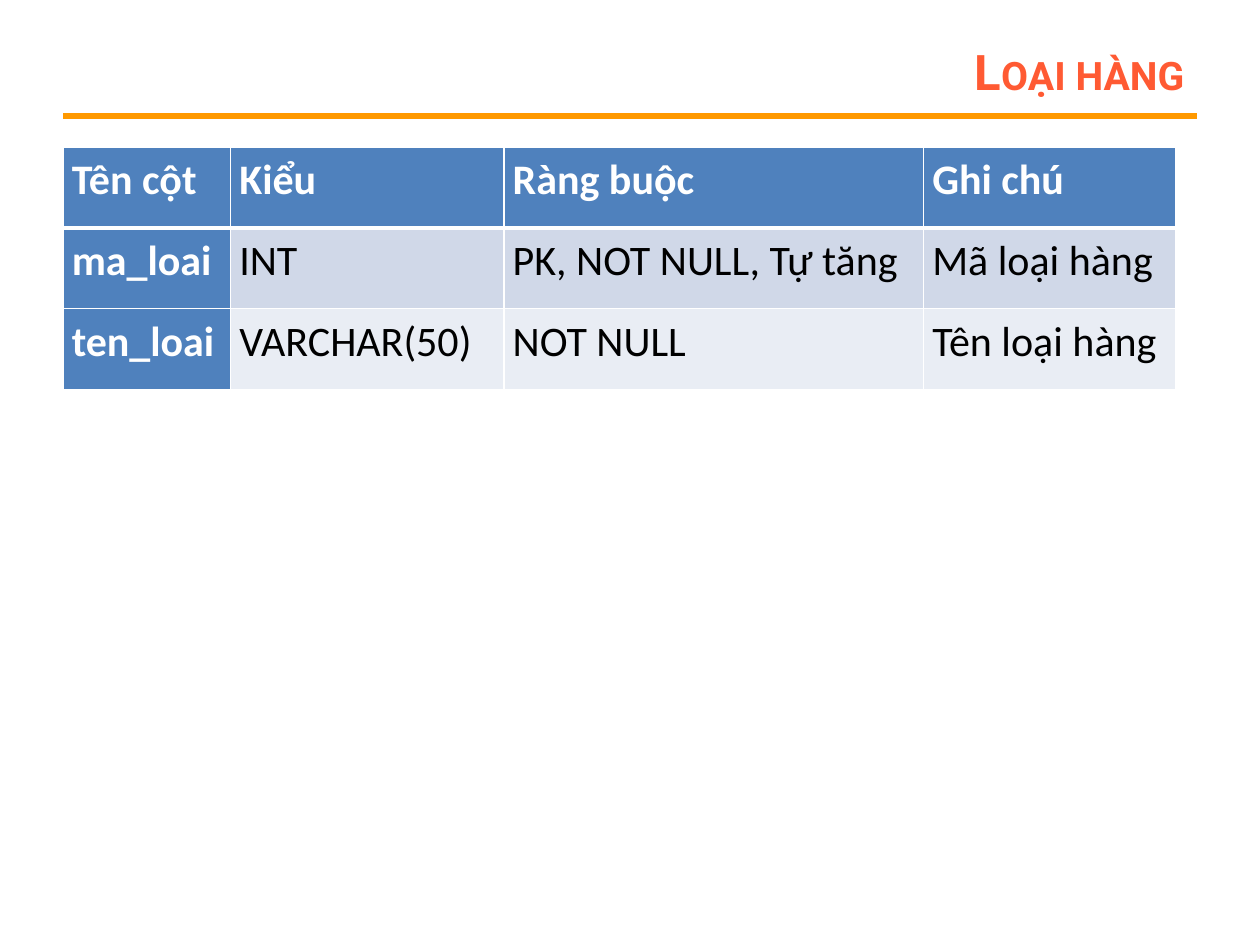
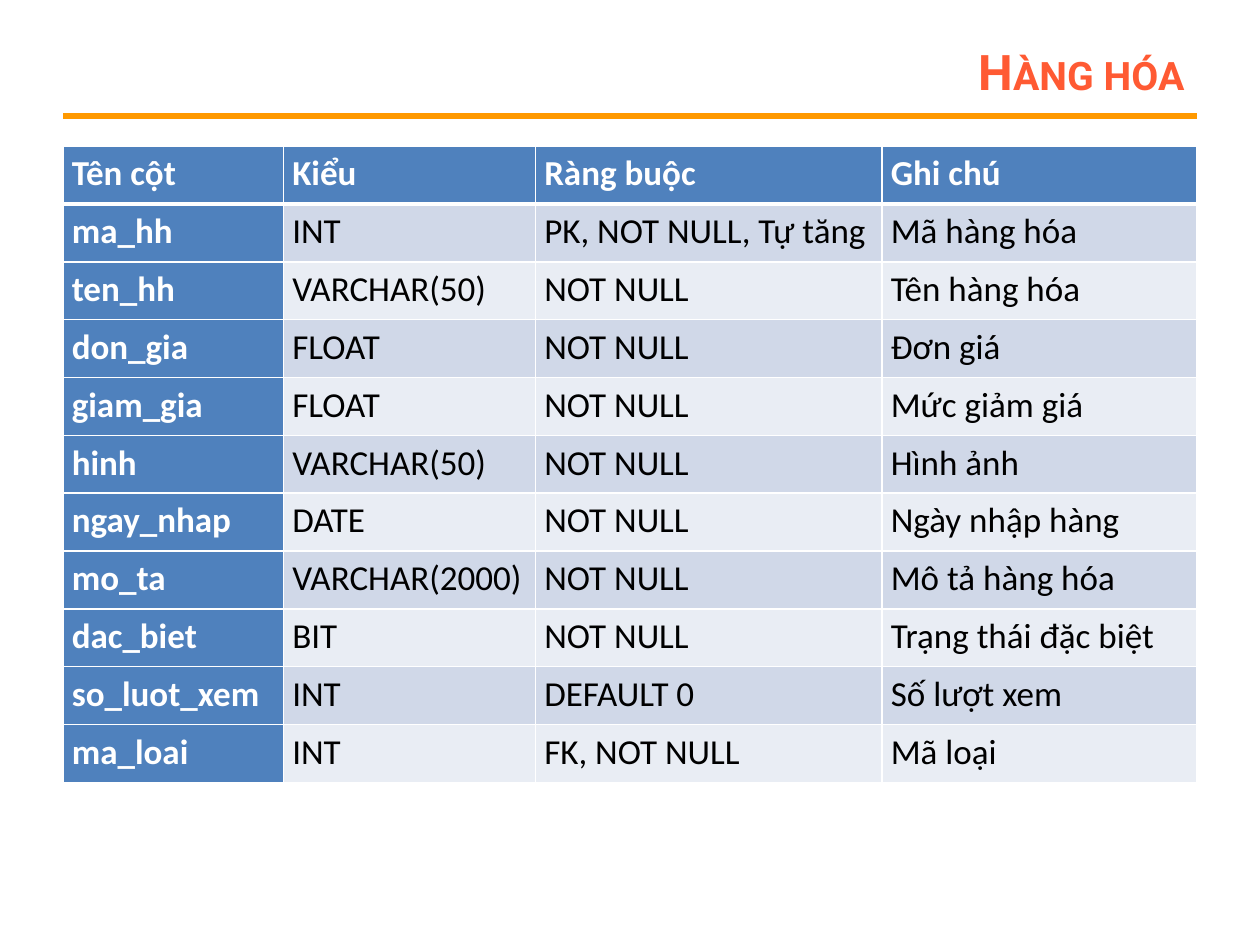
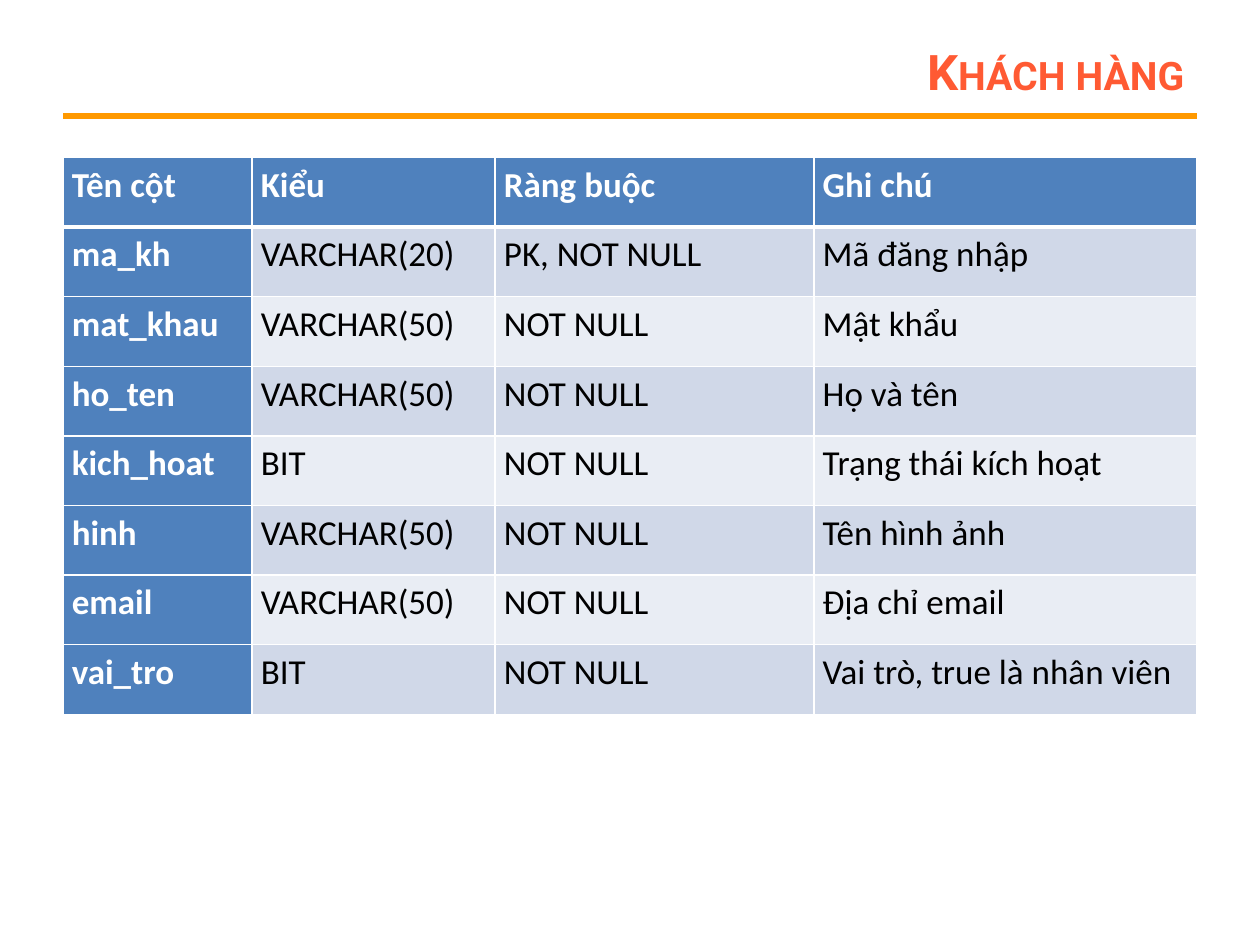
from lxml import etree
from pptx import Presentation
from pptx import util as u
from pptx.dml.color import RGBColor
from pptx.enum import shapes, text
from pptx.oxml.ns import qn

# Shared look
WHITE, BLACK, BLUE = "FFFFFF", "000000", "4F81BD"
BANDS = ["D0D8E8", "E9EDF4"]
RULE, TITLE = "FF9900", "FF5A33"
HEAD = ["Tên cột", "Kiểu", "Ràng buộc", "Ghi chú"]


def paint(obj, color):
    """Give a fill, line fill or font a solid colour."""
    if hasattr(obj, "solid"):
        obj.solid()
        obj = obj.fore_color
    else:
        obj = obj.color
    obj.rgb = RGBColor.from_string(color)


def edge(cell, side, width):
    """Add one white border; sides must come in the order L, R, T, B."""
    line = etree.SubElement(cell._tc.get_or_add_tcPr(), qn("a:ln" + side),
                            w=str(u.Pt(width)))
    fill = etree.SubElement(line, qn("a:solidFill"))
    etree.SubElement(fill, qn("a:srgbClr"), val=WHITE)


# Title, table top, table height, text size, column widths, body rows
pages = [
    ("Loại hàng", 1.17, 1.92, 24, [1.33, 2.17, 3.33, 2], [
        ["ma_loai", "INT", "PK, NOT NULL, Tự tăng", "Mã loại hàng"],
        ["ten_loai", "VARCHAR(50)", "NOT NULL", "Tên loại hàng"],
    ]),
    ("Hàng hóa", 1.16, 5.05, 20, [1.75, 2, 2.75, 2.5], [
        ["ma_hh", "INT", "PK, NOT NULL, Tự tăng", "Mã hàng hóa"],
        ["ten_hh", "VARCHAR(50)", "NOT NULL", "Tên hàng hóa"],
        ["don_gia", "FLOAT", "NOT NULL", "Đơn giá"],
        ["giam_gia", "FLOAT", "NOT NULL", "Mức giảm giá"],
        ["hinh", "VARCHAR(50)", "NOT NULL", "Hình ảnh"],
        ["ngay_nhap", "DATE", "NOT NULL", "Ngày nhập hàng"],
        ["mo_ta", "VARCHAR(2000)", "NOT NULL", "Mô tả hàng hóa"],
        ["dac_biet", "BIT", "NOT NULL", "Trạng thái đặc biệt"],
        ["so_luot_xem", "INT", "DEFAULT 0", "Số lượt xem"],
        ["ma_loai", "INT", "FK, NOT NULL", "Mã loại"],
    ]),
    ("Khách hàng", 1.25, 4.42, 20, [1.5, 1.93, 2.53, 3.04], [
        ["ma_kh", "VARCHAR(20)", "PK, NOT NULL", "Mã đăng nhập"],
        ["mat_khau", "VARCHAR(50)", "NOT NULL", "Mật khẩu"],
        ["ho_ten", "VARCHAR(50)", "NOT NULL", "Họ và tên"],
        ["kich_hoat", "BIT", "NOT NULL", "Trạng thái kích hoạt"],
        ["hinh", "VARCHAR(50)", "NOT NULL", "Tên hình ảnh"],
        ["email", "VARCHAR(50)", "NOT NULL", "Địa chỉ email"],
        ["vai_tro", "BIT", "NOT NULL", "Vai trò, true là nhân viên"],
    ]),
]

deck = Presentation()
deck.slide_width, deck.slide_height = u.Inches(10), u.Inches(7.5)

for title, top, height, size, widths, body in pages:
    slide = deck.slides.add_slide(deck.slide_layouts[6])

    # Rule under the title
    rule = slide.shapes.add_connector(
        shapes.MSO_CONNECTOR.STRAIGHT,
        u.Inches(0.5), u.Inches(0.92), u.Inches(9.5), u.Inches(0.92))
    paint(rule.line.fill, RULE)
    rule.line.width = u.Pt(3)
    etree.SubElement(rule._element.spPr, qn("a:effectLst"))

    # Title in small capitals
    box = slide.shapes.add_textbox(
        u.Inches(2.25), u.Inches(0.3), u.Inches(7.25), u.Inches(0.53))
    frame = box.text_frame
    frame.word_wrap = True
    frame.vertical_anchor = text.MSO_ANCHOR.MIDDLE
    par = frame.paragraphs[0]
    par.text = title
    par.alignment = text.PP_ALIGN.RIGHT
    par.font.name, par.font.size, par.font.bold = "Roboto", u.Pt(28), True
    paint(par.font, TITLE)
    par._p.pPr.find(qn("a:defRPr")).set("cap", "small")

    # Table with equal rows
    rows = [HEAD] + body
    table = slide.shapes.add_table(
        len(rows), len(HEAD), u.Inches(0.5), u.Inches(top),
        u.Inches(sum(widths)), u.Inches(height)).table
    table.first_row = table.horz_banding = False
    for col, width in zip(table.columns, widths):
        col.width = u.Inches(width)

    for r, row in enumerate(rows):
        table.rows[r].height = u.Inches(height / len(rows))
        for c, word in enumerate(row):
            cell = table.cell(r, c)
            strong = r == 0 or c == 0
            cell.margin_left = cell.margin_right = u.Inches(0.07)
            cell.margin_top = cell.margin_bottom = 0

            # A thick line parts the header from the body
            edge(cell, "L", 1)
            edge(cell, "R", 1)
            edge(cell, "T", 3 if r == 1 else 1)
            edge(cell, "B", 3 if r == 0 else 1)
            paint(cell.fill, BLUE if strong else BANDS[(r - 1) % 2])

            par = cell.text_frame.paragraphs[0]
            par.text = word
            par.alignment = text.PP_ALIGN.JUSTIFY
            par.line_spacing = 1.15
            par.space_before = par.space_after = u.Pt(6)
            par.font.name, par.font.size = "Calibri", u.Pt(size)
            par.font.bold = strong
            paint(par.font, WHITE if strong else BLACK)

deck.save("out.pptx")
